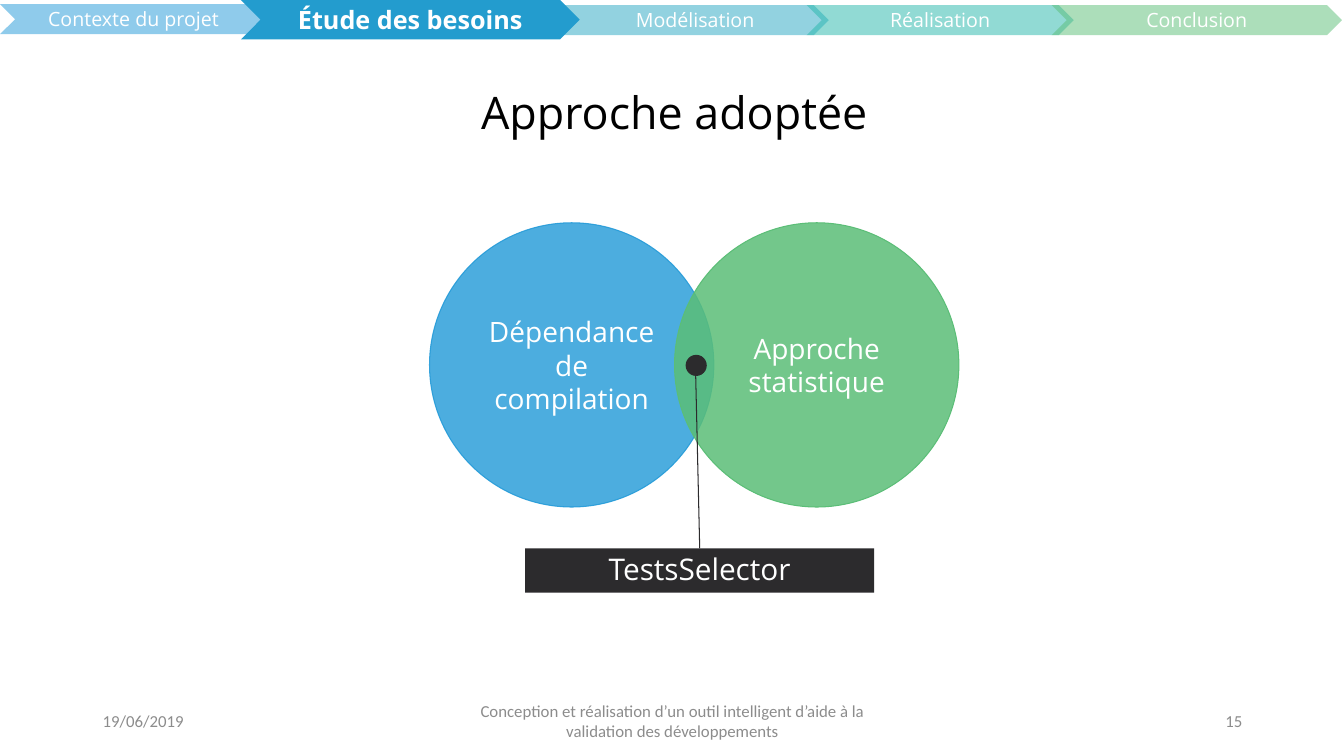
from dataclasses import dataclass

import lxml.etree
import pptx
import pptx.dml.color
import pptx.dml.fill
import pptx.enum.shapes
import pptx.enum.text
import pptx.oxml.ns
import pptx.shapes.base
import pptx.slide
import pptx.util

RGBColor = pptx.dml.color.RGBColor
Kind = pptx.enum.shapes.MSO_SHAPE
Align = pptx.enum.text.PP_ALIGN

EMU_PER_PX = 9144
PAGE_WIDTH, PAGE_HEIGHT = 1333, 750

WHITE = RGBColor(0xFF, 0xFF, 0xFF)
BLACK = RGBColor(0x00, 0x00, 0x00)
GREY = RGBColor(0x8C, 0x8C, 0x8C)
DARK = RGBColor(0x2C, 0x2B, 0x2D)
BLUE = RGBColor(0x20, 0x99, 0xD8)
ACTIVE_BLUE = RGBColor(0x23, 0x9C, 0xCE)
CYAN = RGBColor(0x27, 0xA6, 0xC2)
TEAL = RGBColor(0x25, 0xB7, 0xAB)
GREEN = RGBColor(0x5B, 0xBE, 0x77)


@dataclass(frozen=True)
class Box:
    left: int
    top: int
    width: int
    height: int


@dataclass(frozen=True)
class Label:
    text: str
    size: float
    color: RGBColor = WHITE
    font: str = "Open Sans"
    bold: bool = False
    align: Align = Align.CENTER
    spacing: float = 1.0


@dataclass(frozen=True)
class Figure:
    kind: Kind
    box: Box
    fill: RGBColor
    opacity: int = 100
    label: Label | None = None
    outlined: bool = False
    line_opacity: int = 100
    inset: int = 5


@dataclass(frozen=True)
class Caption:
    box: Box
    label: Label


def px(length: int) -> pptx.util.Emu:
    return pptx.util.Emu(length * EMU_PER_PX)


def place(box: Box) -> tuple[pptx.util.Emu, ...]:
    return px(box.left), px(box.top), px(box.width), px(box.height)


def paint(fill: pptx.dml.fill.FillFormat, color: RGBColor, opacity: int,
          parent: lxml.etree._Element) -> None:
    fill.solid()
    fill.fore_color.rgb = color
    if opacity < 100:
        tint = parent.find(pptx.oxml.ns.qn("a:solidFill"))[0]
        alpha = lxml.etree.SubElement(tint, pptx.oxml.ns.qn("a:alpha"))
        alpha.set("val", str(opacity * 1000))


def write(shape: pptx.shapes.base.BaseShape, label: Label, inset: int = 5) -> None:
    frame = shape.text_frame
    frame.word_wrap = True
    frame.vertical_anchor = pptx.enum.text.MSO_ANCHOR.MIDDLE
    frame.margin_top = frame.margin_bottom = px(inset)
    para = frame.paragraphs[0]
    para.text = label.text
    para.alignment = label.align
    para.line_spacing = label.spacing
    para.font.name = label.font
    para.font.size = pptx.util.Pt(label.size)
    para.font.bold = label.bold
    para.font.color.rgb = label.color


def draw_figure(page: pptx.slide.Slide, figure: Figure) -> None:
    shape = page.shapes.add_shape(figure.kind, *place(figure.box))
    shape.shadow.inherit = False
    properties = shape._element.spPr
    paint(shape.fill, figure.fill, figure.opacity, properties)
    if figure.outlined:
        shape.line.width = pptx.util.Pt(0.75)
        outline = properties.find(pptx.oxml.ns.qn("a:ln"))
        paint(shape.line.fill, figure.fill, figure.line_opacity, outline)
    else:
        shape.line.fill.background()
    if figure.label:
        write(shape, figure.label, figure.inset)


def draw_caption(page: pptx.slide.Slide, caption: Caption) -> None:
    write(page.shapes.add_textbox(*place(caption.box)), caption.label)


def draw_leader(page: pptx.slide.Slide, start: tuple[int, int], end: tuple[int, int]) -> None:
    leader = page.shapes.add_connector(
        pptx.enum.shapes.MSO_CONNECTOR.STRAIGHT, *map(px, start + end))
    leader.line.color.rgb = DARK
    leader.line.width = pptx.util.Pt(0.75)
    lxml.etree.SubElement(leader._element.spPr, pptx.oxml.ns.qn("a:effectLst"))


def step(text: str, box: Box, color: RGBColor) -> Figure:
    return Figure(Kind.CHEVRON, box, color, 50, Label(text, 14), inset=0)


def footer(text: str, left: int, width: int, align: Align) -> Caption:
    return Caption(Box(left, 695, width, 40), Label(text, 12, GREY, "Calibri", align=align))


VENN = [
    Figure(Kind.OVAL, Box(426, 221, 282, 282), BLUE, 80,
           Label("Dépendance de compilation", 20), True, 85),
    Figure(Kind.OVAL, Box(669, 221, 282, 282), GREEN, 85,
           Label("Approche statistique", 20), True),
    Figure(Kind.RECTANGLE, Box(521, 544, 346, 44), DARK,
           label=Label("TestsSelector", 21.3, spacing=0.95), inset=0),
    Figure(Kind.OVAL, Box(680, 352, 21, 21), DARK),
]

CAPTIONS = [
    Caption(Box(94, 42, 1150, 145), Label("Approche adoptée", 32, BLACK, spacing=0.9)),
    footer("19/06/2019", 92, 300, Align.LEFT),
    footer("Conception et réalisation d’un outil intelligent d’aide à la "
           "validation des développements", 442, 450, Align.CENTER),
    footer("15", 942, 300, Align.RIGHT),
]

STEPS = [
    step("Contexte du projet", Box(0, 4, 265, 30), BLUE),
    step("Modélisation", Box(557, 5, 265, 30), CYAN),
    step("Réalisation", Box(800, 5, 265, 30), TEAL),
    step("Conclusion", Box(1043, 5, 288, 30), GREEN),
    Figure(Kind.CHEVRON, Box(239, 0, 336, 39), ACTIVE_BLUE,
           label=Label("Étude des besoins", 18, bold=True), inset=0),
]


def main() -> None:
    deck = pptx.Presentation()
    deck.slide_width, deck.slide_height = px(PAGE_WIDTH), px(PAGE_HEIGHT)
    page = deck.slides.add_slide(deck.slide_layouts[6])
    for figure in VENN:
        draw_figure(page, figure)
    draw_leader(page, (690, 373), (694, 544))
    for caption in CAPTIONS:
        draw_caption(page, caption)
    for figure in STEPS:
        draw_figure(page, figure)
    deck.save("out.pptx")


if __name__ == "__main__":
    main()
